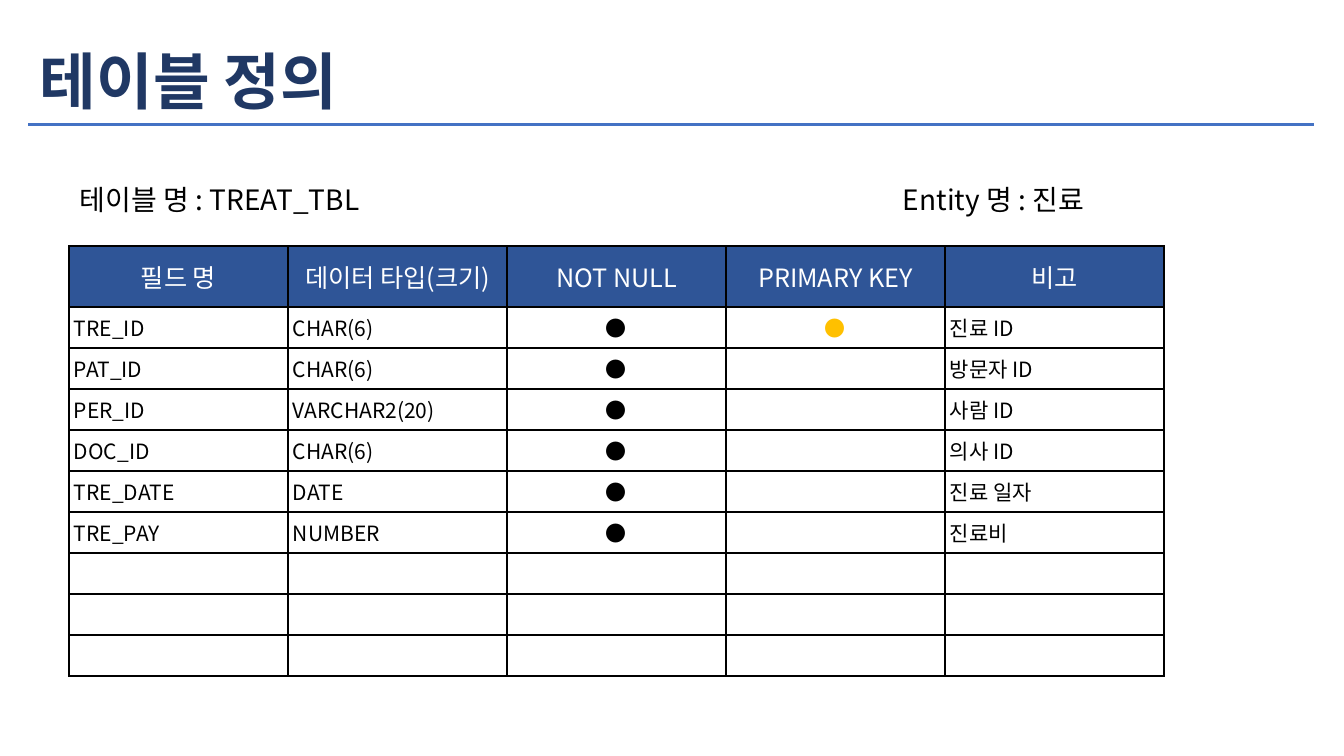
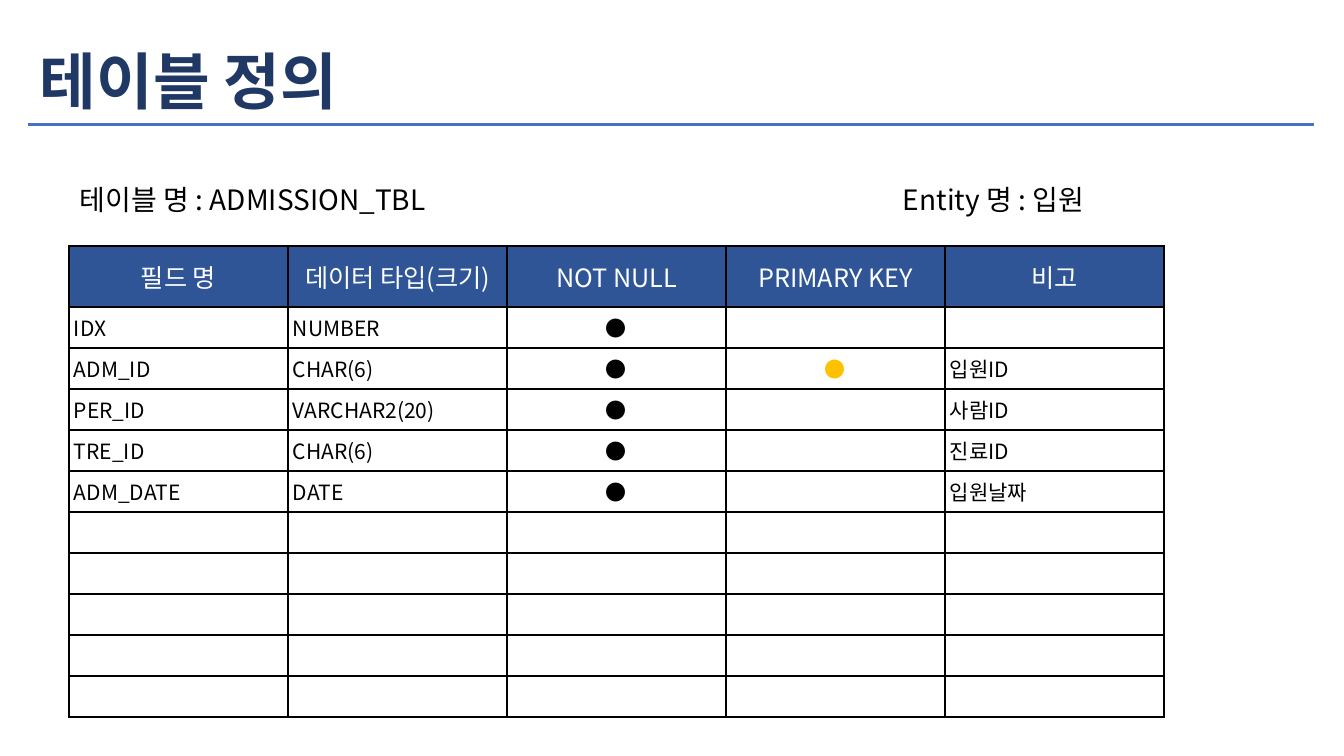
from dataclasses import dataclass

from lxml import etree
from pptx import Presentation
from pptx.dml.color import RGBColor
from pptx.enum.shapes import MSO_SHAPE
from pptx.enum.text import MSO_ANCHOR, PP_ALIGN
from pptx.oxml.ns import qn
from pptx.util import Pt

RECT = MSO_SHAPE.RECTANGLE
TOP, MIDDLE = MSO_ANCHOR.TOP, MSO_ANCHOR.MIDDLE
LEFT, CENTER = PP_ALIGN.LEFT, PP_ALIGN.CENTER

TITLE = "테이블 정의"
HEADERS = ["필드 명", "데이터 타입(크기)", "NOT NULL", "PRIMARY KEY", "비고"]
DOT = "●"
TABLES = [
    {
        "name": "TREAT_TBL",
        "entity": "진료",
        "key": "TRE_ID",
        "fields": [
            ("TRE_ID", "CHAR(6)", "진료 ID"),
            ("PAT_ID", "CHAR(6)", "방문자 ID"),
            ("PER_ID", "VARCHAR2(20)", "사람 ID"),
            ("DOC_ID", "CHAR(6)", "의사 ID"),
            ("TRE_DATE", "DATE", "진료 일자"),
            ("TRE_PAY", "NUMBER", "진료비"),
        ],
        "spare_rows": 3,
    },
    {
        "name": "ADMISSION_TBL",
        "entity": "입원",
        "key": "ADM_ID",
        "fields": [
            ("IDX", "NUMBER", ""),
            ("ADM_ID", "CHAR(6)", "입원ID"),
            ("PER_ID", "VARCHAR2(20)", "사람ID"),
            ("TRE_ID", "CHAR(6)", "진료ID"),
            ("ADM_DATE", "DATE", "입원날짜"),
        ],
        "spare_rows": 5,
    },
]


@dataclass(frozen=True)
class Theme:
    font: str = "Noto Sans CJK KR"
    title: str = "203864"
    bar: str = "4472C4"
    header: str = "2F5597"
    key: str = "FFC000"
    white: str = "FFFFFF"
    black: str = "000000"
    title_size: int = 44
    label_size: int = 20
    header_size: int = 18
    body_size: int = 15


T = Theme()
SLIDE_W, SLIDE_H = 1344, 756
TITLE_BOX = (35, 32, 1138, 105)
BAR_BOX = (27, 122, 1288, 5)
NAME_BOX = (75, 176, 442, 51)
ENTITY_BOX = (898, 176, 442, 51)
TABLE_X, TABLE_Y = 69, 246
COL_W, HEADER_H, ROW_H = 219, 61, 41
INSET = 5


def px(n):
    return round(n * 914400 / 100.8)


def rgb(color):
    return RGBColor.from_string(color)


def set_margins(box):
    box.margin_left = box.margin_right = box.margin_top = box.margin_bottom = px(INSET)


def write(p, text, size, color, bold=False):
    p.text = text
    for r in p.runs:
        r.font.size = Pt(size)
        r.font.bold = bold
        r.font.color.rgb = rgb(color)
        r.font.name = T.font
        etree.SubElement(r.font._element, qn("a:ea"), typeface=T.font)
    if not text:
        etree.SubElement(p._p, qn("a:endParaRPr"), sz=str(size * 100))


def add_label(s, box, text, size, color, bold=False):
    tf = s.shapes.add_textbox(*map(px, box)).text_frame
    tf.word_wrap = True
    tf.vertical_anchor = MIDDLE
    set_margins(tf)
    p = tf.paragraphs[0]
    p.line_spacing = 0.9
    write(p, text, size, color, bold)


def add_bar(s):
    sp = s.shapes.add_shape(RECT, *map(px, BAR_BOX))
    sp.shadow.inherit = False
    sp.fill.solid()
    sp.fill.fore_color.rgb = rgb(T.bar)
    sp.line.color.rgb = rgb(T.white)
    sp.line.width = Pt(1)


def set_borders(cell):
    tc_pr = cell._tc.get_or_add_tcPr()
    for i, side in enumerate(("a:lnL", "a:lnR", "a:lnT", "a:lnB")):
        ln = etree.Element(qn(side), w=str(Pt(1)))
        fill = etree.SubElement(ln, qn("a:solidFill"))
        etree.SubElement(fill, qn("a:srgbClr"), val=T.black)
        tc_pr.insert(i, ln)


def fill_cell(cell, text, size, color, align, anchor, fill=None):
    set_margins(cell)
    cell.vertical_anchor = anchor
    if fill:
        cell.fill.solid()
        cell.fill.fore_color.rgb = rgb(fill)
    else:
        cell.fill.background()
    set_borders(cell)
    p = cell.text_frame.paragraphs[0]
    p.alignment = align
    write(p, text, size, color)


def add_field_table(s, spec_table):
    rows = [
        (field, kind, DOT, DOT if field == spec_table["key"] else "", note)
        for field, kind, note in spec_table["fields"]
    ]
    rows += [("",) * len(HEADERS)] * spec_table["spare_rows"]
    box = (TABLE_X, TABLE_Y, COL_W * len(HEADERS), HEADER_H + ROW_H * len(rows))
    table = s.shapes.add_table(len(rows) + 1, len(HEADERS), *map(px, box)).table
    for col in table.columns:
        col.width = px(COL_W)
    for i, row in enumerate(table.rows):
        row.height = px(ROW_H if i else HEADER_H)
    for c, text in enumerate(HEADERS):
        fill_cell(table.cell(0, c), text, T.header_size, T.white, CENTER, MIDDLE, T.header)
    for i, row in enumerate(rows, 1):
        for c, text in enumerate(row):
            color = T.key if HEADERS[c] == "PRIMARY KEY" else T.black
            align = CENTER if text == DOT else LEFT
            fill_cell(table.cell(i, c), text, T.body_size, color, align, TOP)


prs = Presentation()
prs.slide_width, prs.slide_height = px(SLIDE_W), px(SLIDE_H)
for definition in TABLES:
    s = prs.slides.add_slide(prs.slide_layouts[6])
    add_field_table(s, definition)
    add_label(s, NAME_BOX, f"테이블 명 : {definition['name']}", T.label_size, T.black)
    add_label(s, ENTITY_BOX, f"Entity 명 : {definition['entity']}", T.label_size, T.black)
    add_label(s, TITLE_BOX, TITLE, T.title_size, T.title, bold=True)
    add_bar(s)
prs.save("out.pptx")
